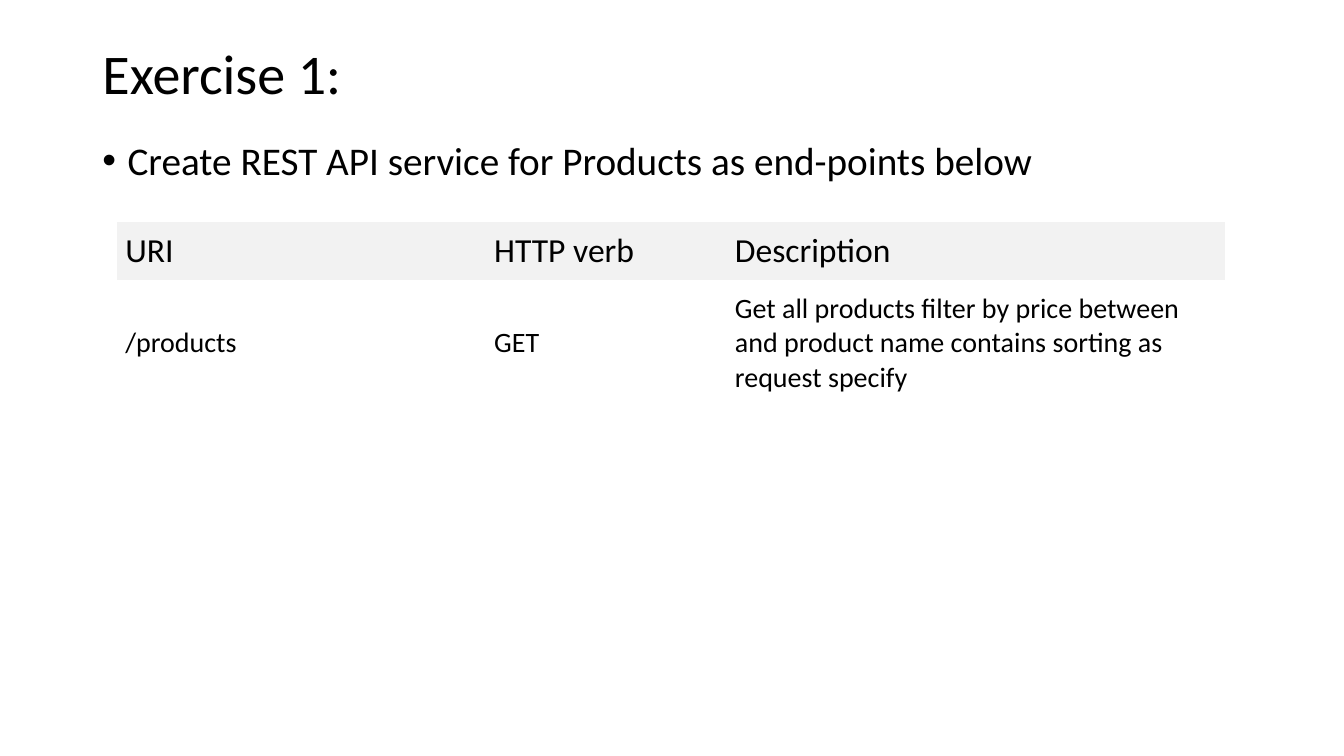
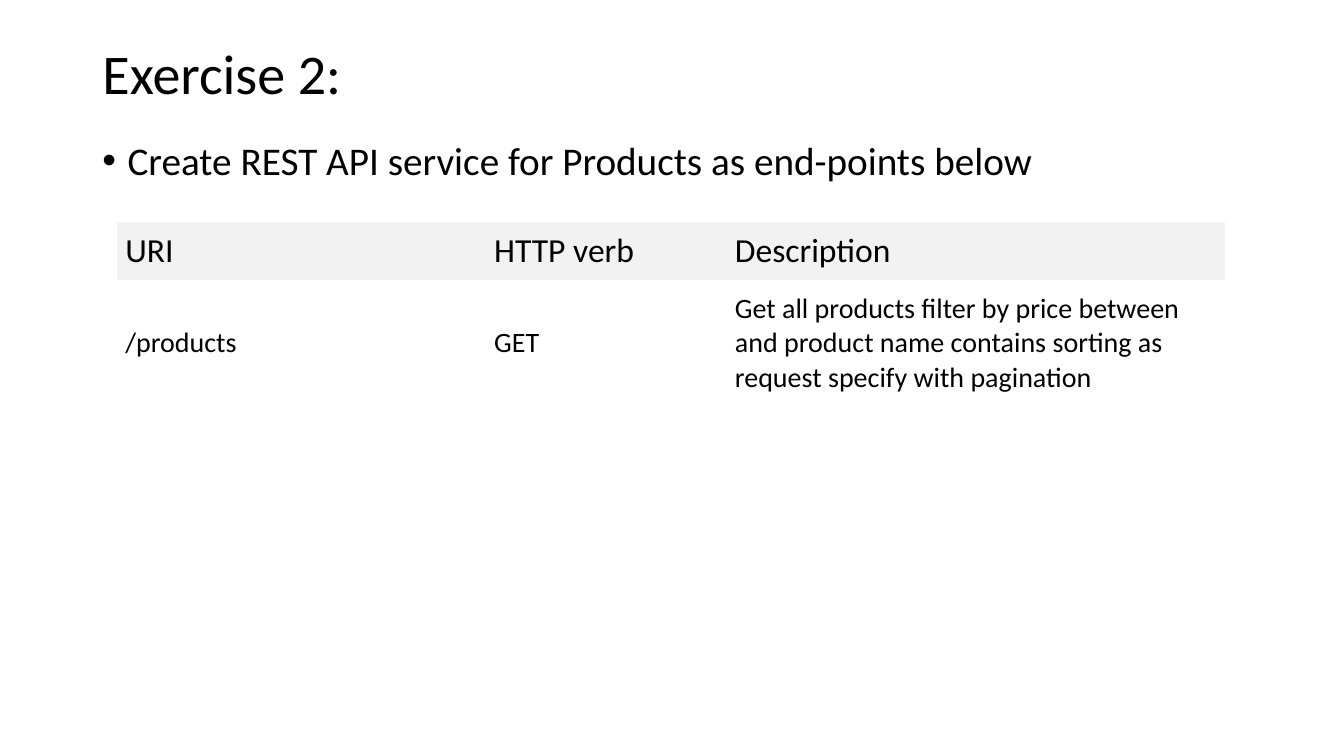
import pptx
import pptx.dml.color
import pptx.enum.text
import pptx.oxml
import pptx.oxml.ns
import pptx.util

Pt = pptx.util.Pt
RGBColor = pptx.dml.color.RGBColor
Align = pptx.enum.text.PP_ALIGN
Anchor = pptx.enum.text.MSO_ANCHOR
Fit = pptx.enum.text.MSO_AUTO_SIZE
qn = pptx.oxml.ns.qn

BLACK = RGBColor(0x00, 0x00, 0x00)
WHITE = RGBColor(0xFF, 0xFF, 0xFF)
GREY = RGBColor(0xF2, 0xF2, 0xF2)
FONT = "Calibri"
PLAIN = "{2D5ABB26-0587-4C30-8999-92F81FD0307C}"  # table style: no fill, no grid

LEFT, WIDTH = 66, 828
TABLE = (83.5, 158.4)
COLS = (263.5, 172, 355.7)
HEAD = ("URI", "HTTP verb", "Description")
TASK = "Create REST API service for Products as end-points below"
GOAL = ("Get all products filter by price between and product name "
        "contains sorting as request specify")


class Deck:
    def __init__(self):
        self.show = pptx.Presentation()
        self.show.slide_width = Pt(960)
        self.show.slide_height = Pt(540)
        self.slide = None

    def page(self):
        self.slide = self.show.slides.add_slide(self.show.slide_layouts[1])
        fill = self.slide.background.fill
        fill.solid()
        fill.fore_color.rgb = WHITE

    def text(self, para, words, size):
        run = para.add_run()
        run.text = words
        run.font.name = FONT
        run.font.size = Pt(size)
        run.font.color.rgb = BLACK
        para.alignment = Align.LEFT

    def place(self, shape, top, height, anchor):
        """Set a placeholder across the text width; return its first paragraph."""
        shape.left, shape.top = Pt(LEFT), Pt(top)
        shape.width, shape.height = Pt(WIDTH), Pt(height)
        frame = shape.text_frame
        frame.auto_size = Fit.NONE
        frame.word_wrap = True
        frame.vertical_anchor = anchor
        return frame.paragraphs[0]

    def title(self, words):
        para = self.place(self.slide.shapes.title, 28.8, 51, Anchor.MIDDLE)
        para.line_spacing = 0.9
        self.text(para, words, 40)

    def list(self, items):
        body = self.slide.placeholders[1]
        para = self.place(body, 93.6, 44.6, Anchor.TOP)
        for i, words in enumerate(items):
            if i:
                para = body.text_frame.add_paragraph()
            para.space_before = Pt(6)
            props = para._p.get_or_add_pPr()
            props.set("marL", str(Pt(18)))
            props.set("indent", str(-Pt(18)))
            mark = pptx.oxml.parse_xml(
                '<a:buChar xmlns:a="http://schemas.openxmlformats.org/'
                'drawingml/2006/main" char="•"/>')
            props.append(mark)
            self.text(para, words, 28)

    def cell(self, cell, words, size, pad, fill):
        cell.margin_left = cell.margin_right = Pt(6)
        cell.margin_top = cell.margin_bottom = Pt(pad)
        cell.vertical_anchor = Anchor.MIDDLE
        if fill is None:
            cell.fill.background()
        else:
            cell.fill.solid()
            cell.fill.fore_color.rgb = fill
        self.text(cell.text_frame.paragraphs[0], words, size)

    def table(self, rows):
        left, top = TABLE
        frame = self.slide.shapes.add_table(
            len(rows), len(COLS), Pt(left), Pt(top), Pt(sum(COLS)), Pt(129.6))
        frame.element.find(".//" + qn("a:tableStyleId")).text = PLAIN
        grid = frame.table
        grid.first_row = grid.horz_banding = False
        for col, width in zip(grid.columns, COLS):
            col.width = Pt(width)
        for r, row in enumerate(rows):
            high, size, pad, fill = (88, 20, 8.6, None) if r else (41.4, 24, 6, GREY)
            grid.rows[r].height = Pt(high)
            for c, words in enumerate(row):
                self.cell(grid.cell(r, c), words, size, pad, fill)


def main():
    deck = Deck()
    for num, goal in enumerate((GOAL, GOAL + " with pagination"), 1):
        deck.page()
        deck.title(f"Exercise {num}:")
        deck.list([TASK])
        deck.table([HEAD, ("/products", "GET", goal)])
    deck.show.save("out.pptx")


if __name__ == "__main__":
    main()
